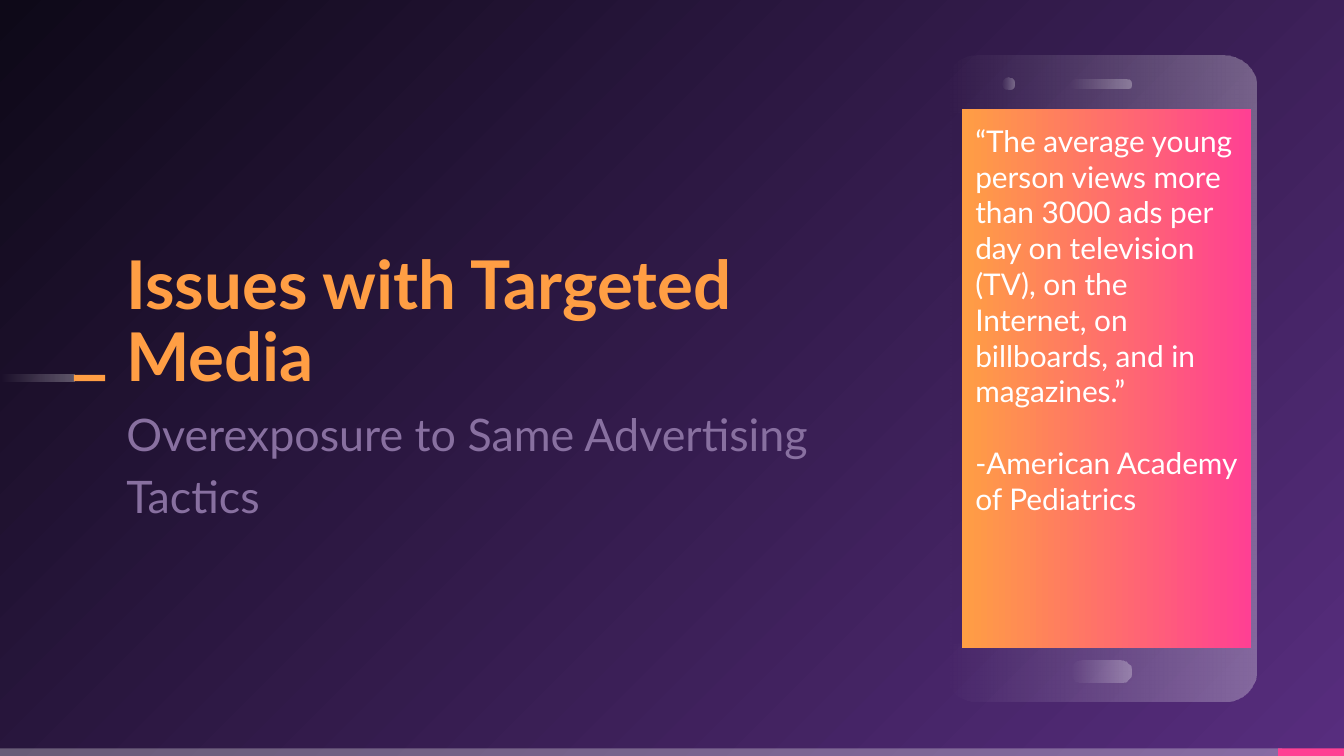
from math import cos, radians, sin

from lxml.etree import SubElement
from pptx import Presentation
from pptx.dml.color import RGBColor
from pptx.enum.shapes import MSO_SHAPE as Shape
from pptx.enum.text import MSO_ANCHOR as Anchor, MSO_AUTO_SIZE as AutoSize, PP_ALIGN as Align
from pptx.oxml.ns import qn
from pptx.util import Pt

COLORS = {
    "night": "0E0918", "violet": "572D7E", "mauve": "8870A0",
    "orange": "FF9E44", "pink": "FF4093", "white": "FFFFFF",
}


def paint(fill, angle, *names):
    """Fill with one solid colour, or with a gradient between two."""
    if len(names) == 1:
        fill.solid()
        fill.fore_color.rgb = RGBColor.from_string(COLORS[names[0]])
        return
    fill.gradient()
    fill.gradient_angle = angle
    for stop, name in zip(fill.gradient_stops, names):
        stop.color.rgb = RGBColor.from_string(COLORS[name])


def finish(shape, names, angle=0, alphas=()):
    """Remove line and shadow, paint the shape, set opacity in percent."""
    shape.shadow.inherit = False
    shape.line.fill.background()
    paint(shape.fill, angle, *names)
    for color, alpha in zip(shape._element.spPr.iter(qn("a:srgbClr")), alphas):
        SubElement(color, qn("a:alpha"), val=str(alpha * 1000))


presentation = Presentation()
presentation.slide_width, presentation.slide_height = Pt(720), Pt(405)
slide = presentation.slides.add_slide(presentation.slide_layouts[5])
shapes = slide.shapes
paint(slide.background.fill, 315, "night", "violet")

# Footer bar and dash beside the title
fade = (["white", "white"], 180, (30, 0))
bars = [
    ((0, 401, 686.9, 4), (["white"], 0, (30,))),
    ((684.7, 401, 35.3, 4), (["pink"],)),
    ((0, 200.9, 40, 3.4), fade),
    ((39.6, 200.9, 16.8, 3.4), (["orange"],)),
]
for box, style in bars:
    finish(shapes.add_shape(Shape.RECTANGLE, *map(Pt, box)), *style)

# Title and subtitle
title = shapes.title
title.left, title.top, title.width, title.height = Pt(67.7), Pt(121), Pt(402.5), Pt(91.4)
subtitle = shapes.add_textbox(Pt(67.7), Pt(213.8), Pt(439.2), Pt(33.8))
headings = [
    (title, "Issues with Targeted Media", 36, "orange", Anchor.BOTTOM, 0.9),
    (subtitle, "Overexposure to Same Advertising Tactics", 24, "mauve", Anchor.TOP, 1.15),
]
for shape, text, size, color, anchor, spacing in headings:
    frame = shape.text_frame
    frame.text = text
    frame.word_wrap = True
    frame.auto_size = AutoSize.NONE
    frame.vertical_anchor = anchor
    frame.margin_left = frame.margin_right = frame.margin_top = frame.margin_bottom = 0
    paragraph = frame.paragraphs[0]
    paragraph.alignment = Align.LEFT
    paragraph.line_spacing = spacing
    font = paragraph.runs[0].font
    font.name, font.size, font.bold = "Lato", Pt(size), shape is title
    font.color.rgb = RGBColor.from_string(COLORS[color])

# Phone body: rounded outline with a rectangular opening
left, top, right, bottom, radius = 506.1, 29.5, 673.1, 375.7, 17.3
corners = [
    (right - radius, bottom - radius, 0), (left + radius, bottom - radius, 90),
    (left + radius, top + radius, 180), (right - radius, top + radius, 270),
]
outline = [
    (Pt(x + radius * cos(radians(start + step))), Pt(y + radius * sin(radians(start + step))))
    for x, y, start in corners for step in range(0, 91, 10)
]
opening = [(Pt(x), Pt(y)) for x, y in
           [(669.6, 60.5), (669.6, 344.2), (510.5, 344.2), (510.5, 60.5)]]
builder = shapes.build_freeform(*opening[0])
builder.add_line_segments(opening[1:], close=True)
builder.move_to(*outline[0])
builder.add_line_segments(outline[1:], close=True)
finish(builder.convert_to_shape(), *fade)

# Home button, camera and speaker
for box in [(573.4, 353.7, 33, 12.2), (537.1, 41.7, 6.5, 6.5), (573.7, 42.4, 32.4, 5.2)]:
    part = shapes.add_shape(Shape.ROUNDED_RECTANGLE, *map(Pt, box))
    part.adjustments[0] = 0.5
    finish(part, *fade)

# Phone screen with the quotation
screen = shapes.add_shape(Shape.RECTANGLE, Pt(515.4), Pt(58.4), Pt(154.9), Pt(288.8))
finish(screen, ["orange", "pink"])
frame = screen.text_frame
frame.word_wrap = True
frame.vertical_anchor = Anchor.TOP
frame.margin_left = frame.margin_right = frame.margin_top = frame.margin_bottom = Pt(7.2)
frame.text = (
    "“The average young person views more than 3000 ads per day on television (TV), "
    "on the Internet, on billboards, and in magazines.”\n"
    "-American Academy of Pediatrics"
)
for paragraph in frame.paragraphs:
    paragraph.alignment = Align.LEFT
    font = paragraph.runs[0].font
    font.name, font.size = "Lato", Pt(16)
    font.color.rgb = RGBColor.from_string(COLORS["white"])
frame.paragraphs[1].space_before = Pt(19.2)

presentation.save("out.pptx")
